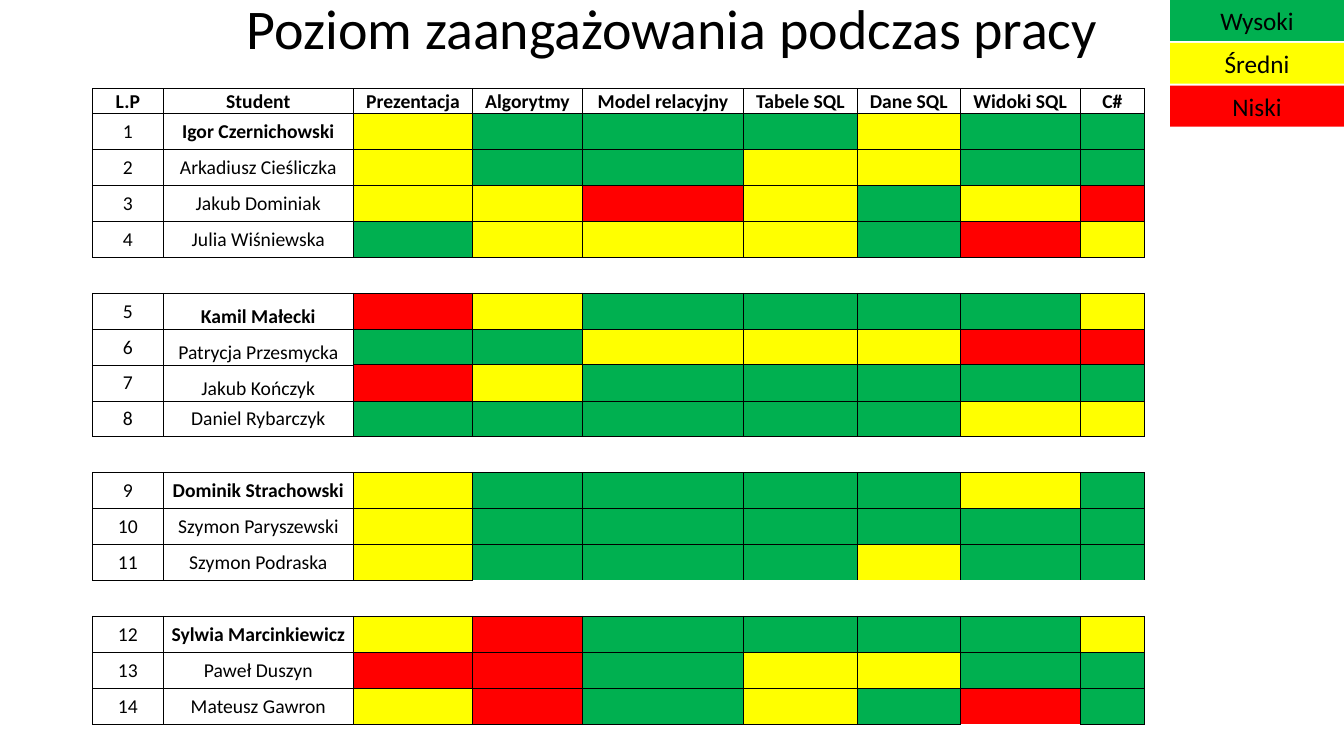
from dataclasses import dataclass
from typing import Optional

from lxml.etree import SubElement
from pptx import Presentation
from pptx.dml.color import RGBColor
from pptx.enum.shapes import MSO_SHAPE
from pptx.enum.text import MSO_ANCHOR, MSO_AUTO_SIZE, PP_ALIGN
from pptx.oxml.ns import qn
from pptx.slide import Slide
from pptx.table import _Cell
from pptx.text.text import TextFrame
from pptx.util import Cm, Pt

COLORS = {"text": "000000", "border": "000000", "W": "00B050", "S": "FFFF00", "N": "FF0000"}
LEGEND = {"Wysoki": "W", "Średni": "S", "Niski": "N"}
HEADINGS = ["L.P", "Student", "Prezentacja", "Algorytmy", "Model relacyjny",
            "Tabele SQL", "Dane SQL", "Widoki SQL", "C#"]
COLUMN_WIDTHS = [1.78, 4.8, 3, 2.77, 4.06, 2.87, 2.59, 3.02, 1.63]
HEADING_HEIGHT, BODY_HEIGHT = 0.63, 15.39
THIN, HEAVY = 0.5, 1.0
HEAVY_BELOW = {7, 9, 10}
HEAVY_RIGHT = range(6, 14)
LAST_COLUMN = len(HEADINGS) - 1


@dataclass(frozen=True)
class Student:
    """A student and the engagement level shown for each subject."""
    name: str
    levels: str
    anchor: MSO_ANCHOR = MSO_ANCHOR.MIDDLE


TEAMS = [
    [Student("Igor Czernichowski", "SWWWSWW"),
     Student("Arkadiusz Cieśliczka", "SWWSSWW"),
     Student("Jakub Dominiak", "SSNSWSN"),
     Student("Julia Wiśniewska", "WSSSWNS")],
    [Student("Kamil Małecki", "NSWWWWS", MSO_ANCHOR.BOTTOM),
     Student("Patrycja Przesmycka", "WWSSSNN", MSO_ANCHOR.BOTTOM),
     Student("Jakub Kończyk", "NSWWWWW", MSO_ANCHOR.BOTTOM),
     Student("Daniel Rybarczyk", "WWWWWSS")],
    [Student("Dominik Strachowski", "SWWWWSW"),
     Student("Szymon Paryszewski", "SWWWWWW"),
     Student("Szymon Podraska", "SWWWSWW")],
    [Student("Sylwia Marcinkiewicz", "SNWWWWS"),
     Student("Paweł Duszyn", "NNWSSWW"),
     Student("Mateusz Gawron", "SNWSWNW")],
]


def write(frame: TextFrame, text: str, size: int, bold: bool = False) -> None:
    """Put centred black text into a frame."""
    frame.text = text
    paragraph = frame.paragraphs[0]
    paragraph.alignment = PP_ALIGN.CENTER
    for run in paragraph.runs:
        run.font.name = "Calibri"
        run.font.size = Pt(size)
        run.font.bold = bold
        run.font.color.rgb = RGBColor.from_string(COLORS["text"])


def width_below(row: int, column: int) -> Optional[float]:
    """Return the width of the rule beneath a cell, or None where it is open."""
    if (row == 13 and column >= 3) or (row, column) == (17, 7):
        return None
    return HEAVY if row in HEAVY_BELOW and column >= 2 else THIN


def draw_borders(cell: _Cell, row: int, column: int, is_gap: bool) -> None:
    """Draw the four borders of a cell."""
    side = None if is_gap else THIN
    is_heavy = column == LAST_COLUMN and row in HEAVY_RIGHT and not is_gap
    edges = {"a:lnL": side, "a:lnR": HEAVY if is_heavy else side,
             "a:lnT": width_below(row - 1, column), "a:lnB": width_below(row, column)}
    properties = cell._tc.get_or_add_tcPr()
    for tag, width in edges.items():
        line = SubElement(properties, qn(tag), w=str(Pt(width or 0)))
        if width is None:
            SubElement(line, qn("a:noFill"))
        else:
            fill = SubElement(line, qn("a:solidFill"))
            SubElement(fill, qn("a:srgbClr"), val=COLORS["border"])


def add_heading(slide: Slide) -> None:
    """Place the slide title."""
    heading = slide.shapes.title
    heading.left, heading.top, heading.width, heading.height = Cm(0), Cm(-0.28), Cm(33.87), Cm(1.96)
    write(heading.text_frame, "Poziom zaangażowania podczas pracy", 40)
    heading.text_frame.vertical_anchor = MSO_ANCHOR.TOP
    heading.text_frame.auto_size = MSO_AUTO_SIZE.SHAPE_TO_FIT_TEXT


def add_legend(slide: Slide) -> None:
    """Stack the engagement levels in the corner."""
    for position, (label, level) in enumerate(LEGEND.items()):
        entry = slide.shapes.add_shape(MSO_SHAPE.RECTANGLE, Cm(29.49), Cm(1.08 * position),
                                       Cm(4.38), Cm(1.03))
        entry.shadow.inherit = False
        entry.fill.solid()
        entry.fill.fore_color.rgb = RGBColor.from_string(COLORS[level])
        entry.line.fill.background()
        write(entry.text_frame, label, 18)
        entry.text_frame.auto_size = MSO_AUTO_SIZE.SHAPE_TO_FIT_TEXT


def add_engagement(slide: Slide) -> None:
    """Build the table of students, with an open row between teams."""
    entries: list[Optional[Student]] = []
    for team in TEAMS:
        entries += [None, *team]
    leaders = {team[0] for team in TEAMS}
    row_count = len(entries)
    engagement = slide.shapes.add_table(
        row_count, len(HEADINGS), Cm(2.33), Cm(2.23), Cm(sum(COLUMN_WIDTHS)),
        Cm(HEADING_HEIGHT + BODY_HEIGHT)).table
    engagement.first_row = engagement.horz_banding = False
    for column, width in zip(engagement.columns, COLUMN_WIDTHS):
        column.width = Cm(width)
    number = 0
    for row, student in enumerate(entries):
        engagement.rows[row].height = Cm(BODY_HEIGHT / (row_count - 1) if row else HEADING_HEIGHT)
        number += student is not None
        for column, subject in enumerate(HEADINGS):
            cell = engagement.cell(row, column)
            cell.margin_left = cell.margin_right = cell.margin_top = Cm(0.02)
            cell.margin_bottom = Cm(0)
            cell.vertical_anchor = MSO_ANCHOR.MIDDLE
            draw_borders(cell, row, column, is_gap=row > 0 and student is None)
            cell.fill.background()
            if row == 0:
                write(cell.text_frame, subject, 14, bold=True)
            elif student and column == 0:
                write(cell.text_frame, str(number), 14)
            elif student and column == 1:
                cell.vertical_anchor = student.anchor
                write(cell.text_frame, student.name, 14, bold=student in leaders)
            elif student:
                cell.fill.solid()
                cell.fill.fore_color.rgb = RGBColor.from_string(COLORS[student.levels[column - 2]])


def main() -> None:
    """Build and save the presentation."""
    presentation = Presentation()
    presentation.slide_width, presentation.slide_height = Cm(33.87), Cm(19.05)
    slide = presentation.slides.add_slide(presentation.slide_layouts[5])
    add_heading(slide)
    add_legend(slide)
    add_engagement(slide)
    presentation.save("out.pptx")


if __name__ == "__main__":
    main()
